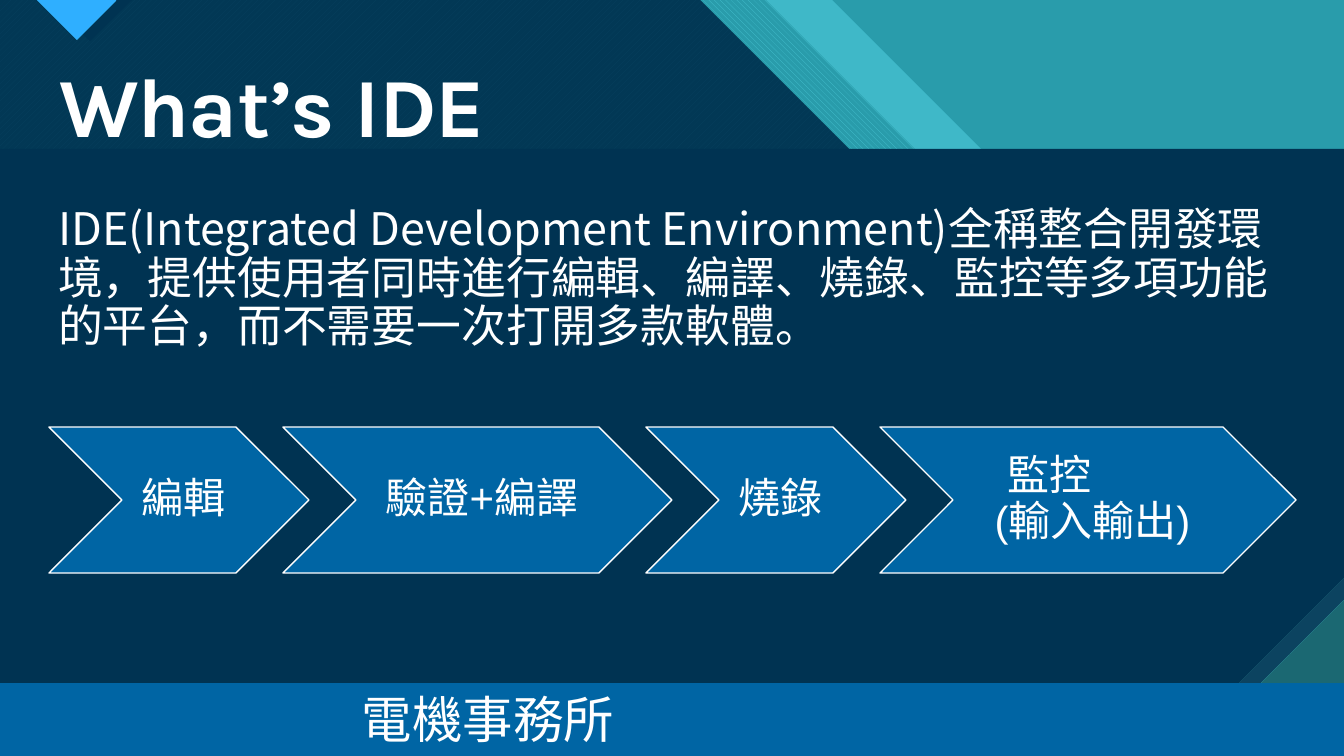
from lxml import etree
from pptx import Presentation
from pptx import util as u
from pptx.dml.color import RGBColor
from pptx.enum import dml, shapes, text
from pptx.oxml.ns import qn

PX = 914400 / 100.8
WIDTH, HEIGHT = 1344, 756
HEADER_BOTTOM, FOOTER_TOP = 149, 683
CJK_FONT = "Noto Sans CJK SC"
COLORS = {
    "white": "FFFFFF",
    "navy": "003352",
    "steel": "0C4360",
    "blue": "0065A4",
    "sky": "2FAFFF",
    "teal": "299CAB",
    "aqua": "47C3D3",
    "deep_teal": "1B6872",
}


def px(length):
    return u.Emu(round(length * PX))


def rgb(name):
    return RGBColor.from_string(COLORS[name])


def paint(shape, color, back=None, pattern=None, alpha=None, line=None):
    """Fill a shape, plain or patterned, and set its outline."""
    shape.shadow.inherit = False
    if pattern is None:
        shape.fill.solid()
    else:
        shape.fill.patterned()
        shape.fill.pattern = pattern
        shape.fill.back_color.rgb = rgb(back)
    shape.fill.fore_color.rgb = rgb(color)
    if alpha is not None:
        color_element = shape.element.spPr.find(".//" + qn("a:srgbClr"))
        etree.SubElement(color_element, qn("a:alpha")).set("val", str(alpha * 1000))
    if line is None:
        shape.line.fill.background()
    else:
        shape.line.color.rgb = rgb(line)
        shape.line.width = u.Pt(1)


def add_polygon(slide, points, color, **fill):
    builder = slide.shapes.build_freeform(*points[0], scale=PX)
    builder.add_line_segments(points[1:], close=True)
    paint(builder.convert_to_shape(), color, **fill)


def add_header_band(slide, top_right, color, **fill):
    """Draw a header area whose right edge slopes at 45 degrees."""
    corner = (top_right + HEADER_BOTTOM + 1, HEADER_BOTTOM + 1)
    add_polygon(slide, [(0, 0), (top_right, 0), corner, (0, corner[1])], color, **fill)


def place(shape, left, top, width, height):
    shape.left, shape.top = px(left), px(top)
    shape.width, shape.height = px(width), px(height)


def write(shape, content, size, font=CJK_FONT, bold=False, align=text.PP_ALIGN.LEFT,
          anchor=text.MSO_ANCHOR.TOP, line_spacing=0.9, tracking=None):
    frame = shape.text_frame
    frame.word_wrap = True
    frame.auto_size = text.MSO_AUTO_SIZE.NONE
    frame.vertical_anchor = anchor
    frame.text = content
    for paragraph in frame.paragraphs:
        paragraph.alignment = align
        paragraph.line_spacing = line_spacing
        paragraph.space_before = u.Pt(0)
        properties = paragraph._p.get_or_add_pPr()
        properties.set("marL", "0")
        properties.set("indent", "0")
        etree.SubElement(properties, qn("a:buNone"))
        for run in paragraph.runs:
            run.font.name = font
            run.font.size = u.Pt(size)
            run.font.bold = bold
            run.font.color.rgb = rgb("white")
            run_properties = run.font._element
            etree.SubElement(run_properties, qn("a:ea")).set("typeface", CJK_FONT)
            if tracking is not None:
                run_properties.set("spc", str(tracking))


def add_backdrop(slide):
    slide.background.fill.solid()
    slide.background.fill.fore_color.rgb = rgb("teal")
    patterns = dml.MSO_PATTERN

    # Header bands
    add_header_band(slide, 832, "aqua", alpha=74)
    add_header_band(slide, 766, "aqua", back="teal",
                    pattern=patterns.WIDE_DOWNWARD_DIAGONAL)
    add_header_band(slide, 700, "aqua", back="deep_teal",
                    pattern=patterns.WIDE_UPWARD_DIAGONAL)
    add_header_band(slide, 700, "navy", alpha=90)

    # Pointer at the top left
    add_polygon(slide, [(48, 0), (132, 0), (90, 41)], "navy")
    add_polygon(slide, [(37, 0), (117, 0), (77, 40)], "sky", back="deep_teal",
                pattern=patterns.DARK_HORIZONTAL)

    # Content panel with a cut corner
    cut = 105
    add_polygon(slide, [(0, HEADER_BOTTOM), (WIDTH, HEADER_BOTTOM),
                        (WIDTH, FOOTER_TOP - cut), (WIDTH - cut, FOOTER_TOP),
                        (0, FOOTER_TOP)], "navy")
    for size, color, back, pattern in (
        (cut, "steel", "deep_teal", patterns.DARK_VERTICAL),
        (83, "deep_teal", "aqua", patterns.DARK_HORIZONTAL),
    ):
        add_polygon(slide, [(WIDTH - size, FOOTER_TOP), (WIDTH, FOOTER_TOP - size),
                            (WIDTH, FOOTER_TOP)], color, back=back, pattern=pattern)


def add_placeholders(slide):
    title, body = slide.shapes.title, slide.placeholders[1]
    for placeholder in (title, body):
        placeholder.element.getparent().append(placeholder.element)
    place(title, 49, 59, 1236, 102)
    write(title, "What’s IDE", 60, font="Karla", bold=True,
          anchor=text.MSO_ANCHOR.BOTTOM, tracking=-70)
    place(body, 48, 202, 1236, 480)
    write(body, "IDE(Integrated Development Environment)全稱整合開發環境，"
                "提供使用者同時進行編輯、編譯、燒錄、監控等多項功能的平台，"
                "而不需要一次打開多款軟體。", 32)


def add_footer(slide):
    bar = slide.shapes.add_shape(shapes.MSO_SHAPE.RECTANGLE, 0, px(FOOTER_TOP),
                                 px(WIDTH), px(HEIGHT - FOOTER_TOP))
    paint(bar, "blue")
    label = slide.shapes.add_textbox(px(352), px(FOOTER_TOP), px(641), px(72))
    write(label, "電機事務所", 36, align=text.PP_ALIGN.JUSTIFY, line_spacing=1.0)


def add_step(slide, label, left, width):
    step = slide.shapes.add_shape(shapes.MSO_SHAPE.CHEVRON, px(left), px(427),
                                  px(width), px(146))
    paint(step, "blue", line="white")
    frame = step.text_frame
    frame.margin_left = px(13)
    frame.margin_right = frame.margin_top = frame.margin_bottom = px(4)
    write(step, label, 30, font="Arial", align=text.PP_ALIGN.CENTER,
          anchor=text.MSO_ANCHOR.MIDDLE)
    return step


def add_process(slide):
    left, overlap = 49, 26
    for label, width in (("編輯", 260), ("驗證+編譯", 389), ("燒錄", 260),
                         ("監控\n(輸入輸出)", 416)):
        step = add_step(slide, label, left, width)
        left += width - overlap

    # The heading of the last step sits left of its centre
    heading = step.text_frame.paragraphs[0]
    heading.alignment = text.PP_ALIGN.LEFT
    heading._p.get_or_add_pPr().set("marL", str(px(42)))


def main():
    presentation = Presentation()
    presentation.slide_width, presentation.slide_height = px(WIDTH), px(HEIGHT)
    slide = presentation.slides.add_slide(presentation.slide_layouts[1])
    add_backdrop(slide)
    add_placeholders(slide)
    add_footer(slide)
    add_process(slide)
    presentation.save("out.pptx")


if __name__ == "__main__":
    main()
